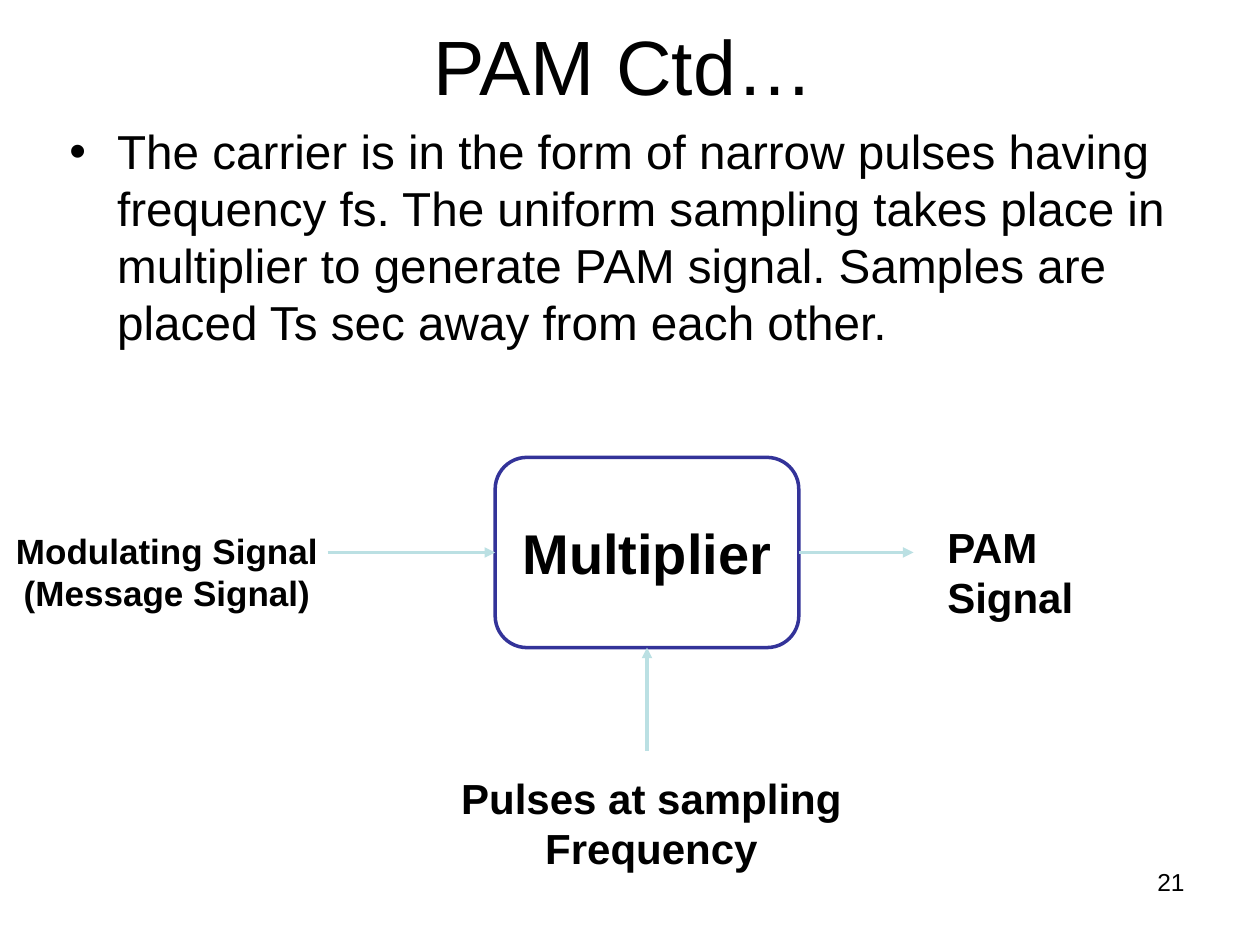
from dataclasses import dataclass

from lxml.etree import SubElement
from pptx import Presentation
from pptx.dml.color import RGBColor
from pptx.enum.shapes import MSO_CONNECTOR, MSO_SHAPE
from pptx.enum.text import MSO_ANCHOR, MSO_AUTO_SIZE, PP_ALIGN
from pptx.oxml.ns import qn
from pptx.shapes.base import BaseShape
from pptx.slide import Slide
from pptx.text.text import TextFrame
from pptx.util import Inches, Pt


@dataclass(frozen=True)
class Theme:
    font: str = "Arial"
    text: RGBColor = RGBColor(0x00, 0x00, 0x00)
    background: RGBColor = RGBColor(0xFF, 0xFF, 0xFF)
    outline: RGBColor = RGBColor(0x33, 0x33, 0x99)
    arrow: RGBColor = RGBColor(0xBB, 0xE0, 0xE3)
    line_width: float = 2
    title_size: float = 44
    body_size: float = 27.2
    body_leading: float = 32.6
    block_size: float = 32
    input_size: float = 20
    label_size: float = 24
    number_size: float = 14


@dataclass(frozen=True)
class Box:
    left: float
    top: float
    width: float
    height: float

    @property
    def center(self) -> float:
        return self.left + self.width / 2

    @property
    def middle(self) -> float:
        return self.top + self.height / 2

    @property
    def right(self) -> float:
        return self.left + self.width

    @property
    def bottom(self) -> float:
        return self.top + self.height

    def lengths(self) -> tuple:
        return tuple(Inches(v) for v in (self.left, self.top, self.width, self.height))


@dataclass(frozen=True)
class Label:
    lines: tuple[str, ...]
    box: Box
    size: float
    align: PP_ALIGN = PP_ALIGN.CENTER
    bold: bool = True
    wrap: bool = False


@dataclass(frozen=True)
class Arrow:
    start: tuple[float, float]
    end: tuple[float, float]


THEME = Theme()
MULTIPLIER = Box(3.93, 3.63, 2.41, 1.51)

ARROWS = (
    Arrow((2.6, MULTIPLIER.middle), (MULTIPLIER.left, MULTIPLIER.middle)),
    Arrow((MULTIPLIER.right, MULTIPLIER.middle), (7.25, MULTIPLIER.middle)),
    Arrow((MULTIPLIER.center, 5.96), (MULTIPLIER.center, MULTIPLIER.bottom)),
)

LABELS = (
    Label(("Modulating Signal ", "(Message Signal)"),
          Box(-0.01, 4.15, 2.67, 0.77), THEME.input_size),
    Label(("Pulses at sampling", "Frequency"),
          Box(3.56, 6.08, 3.22, 0.9), THEME.label_size),
    Label(("PAM", "Signal"), Box(7.42, 4.09, 1.2, 0.9),
          THEME.label_size, PP_ALIGN.LEFT),
    Label(("21",), Box(7.17, 6.83, 2.33, 0.52), THEME.number_size,
          PP_ALIGN.RIGHT, bold=False, wrap=True),
)


def write(frame: TextFrame, lines: tuple[str, ...], size: float,
          align: PP_ALIGN, bold: bool = False) -> None:
    for index, line in enumerate(lines):
        paragraph = frame.add_paragraph() if index else frame.paragraphs[0]
        paragraph.alignment = align
        run = paragraph.add_run()
        run.text = line
        run.font.name = THEME.font
        run.font.size = Pt(size)
        run.font.bold = bold
        run.font.color.rgb = THEME.text


def place(shape: BaseShape, box: Box) -> None:
    shape.left, shape.top, shape.width, shape.height = box.lengths()


def fill_title(slide: Slide, text: str) -> None:
    title = slide.shapes.title
    place(title, Box(0.45, 0.1, 9, 0.82))
    title.text_frame.auto_size = MSO_AUTO_SIZE.NONE
    title.text_frame.vertical_anchor = MSO_ANCHOR.MIDDLE
    write(title.text_frame, (text,), THEME.title_size, PP_ALIGN.CENTER)


def fill_body(slide: Slide, text: str) -> None:
    body = slide.placeholders[1]
    place(body, Box(0.45, 0.92, 9.3, 2.18))
    frame = body.text_frame
    frame.auto_size = MSO_AUTO_SIZE.NONE
    paragraph = frame.paragraphs[0]
    properties = paragraph._p.get_or_add_pPr()
    properties.set("marL", str(Inches(0.38)))
    properties.set("indent", str(Inches(-0.38)))
    SubElement(properties, qn("a:buChar"), char="•")
    paragraph.space_before = Pt(0)
    paragraph.line_spacing = Pt(THEME.body_leading)
    write(frame, (text,), THEME.body_size, PP_ALIGN.LEFT)


def add_block(slide: Slide, text: str, box: Box) -> None:
    shape = slide.shapes.add_shape(MSO_SHAPE.ROUNDED_RECTANGLE, *box.lengths())
    shape.shadow.inherit = False
    shape.fill.solid()
    shape.fill.fore_color.rgb = THEME.background
    shape.line.color.rgb = THEME.outline
    shape.line.width = Pt(THEME.line_width)
    shape.text_frame.vertical_anchor = MSO_ANCHOR.MIDDLE
    write(shape.text_frame, (text,), THEME.block_size, PP_ALIGN.CENTER, bold=True)


def add_arrow(slide: Slide, arrow: Arrow) -> None:
    points = (Inches(v) for v in (*arrow.start, *arrow.end))
    connector = slide.shapes.add_connector(MSO_CONNECTOR.STRAIGHT, *points)
    connector.line.color.rgb = THEME.arrow
    connector.line.width = Pt(THEME.line_width)
    SubElement(connector.line._get_or_add_ln(), qn("a:tailEnd"), type="triangle")
    SubElement(connector._element.spPr, qn("a:effectLst"))


def add_label(slide: Slide, label: Label) -> None:
    frame = slide.shapes.add_textbox(*label.box.lengths()).text_frame
    frame.word_wrap = label.wrap
    write(frame, label.lines, label.size, label.align, label.bold)


def main() -> None:
    presentation = Presentation()
    presentation.slide_width = Inches(10)
    presentation.slide_height = Inches(7.5)
    slide = presentation.slides.add_slide(presentation.slide_layouts[1])

    # Title and explanation
    fill_title(slide, "PAM Ctd…")
    fill_body(slide, "The carrier is in the form of narrow pulses having frequency fs. "
                     "The uniform sampling takes place in multiplier to generate PAM "
                     "signal. Samples are placed Ts sec away from each other.")

    # Block diagram, its captions and the page number
    add_block(slide, "Multiplier", MULTIPLIER)
    for arrow in ARROWS:
        add_arrow(slide, arrow)
    for label in LABELS:
        add_label(slide, label)

    presentation.save("out.pptx")


if __name__ == "__main__":
    main()
